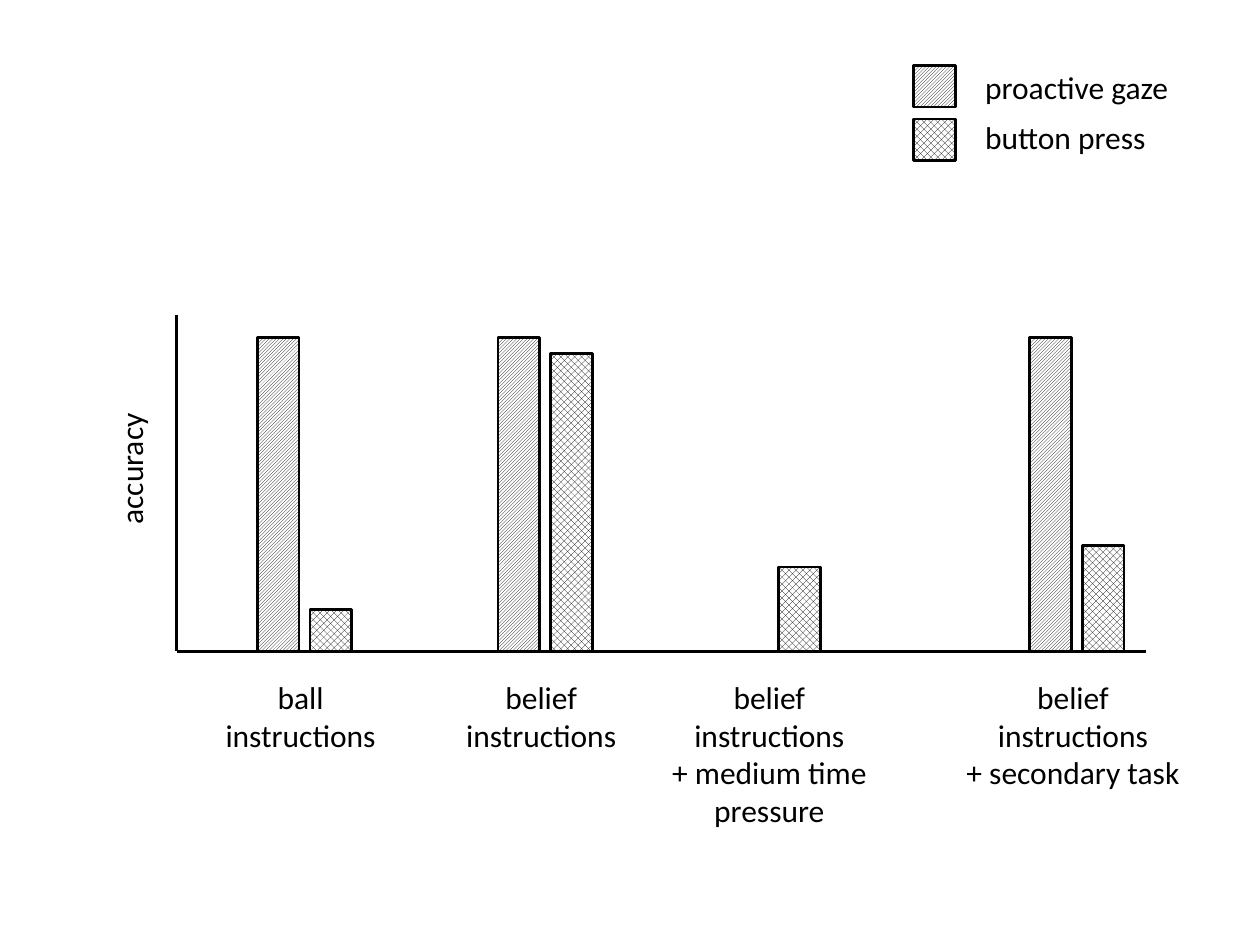
import pptx
import pptx.util
import pptx.dml.color
import pptx.enum.dml
import pptx.enum.shapes
import pptx.enum.text
import pptx.oxml
import pptx.oxml.ns

Cm = pptx.util.Cm
BLACK = pptx.dml.color.RGBColor(0, 0, 0)
WHITE = pptx.dml.color.RGBColor(255, 255, 255)
ALIGN = pptx.enum.text.PP_ALIGN
GAZE = pptx.enum.dml.MSO_PATTERN.LIGHT_UPWARD_DIAGONAL
PRESS = pptx.enum.dml.MSO_PATTERN.LARGE_CHECKER_BOARD

BAR_WIDTH = 0.84
BAR_STEP = 1.06
LABEL_CENTRE = 0.87  # from the left edge of a group of bars
LABEL_GAP = 0.41

# left of group, gaze height, press height, label, label width, label wraps
GROUPS = [
    (1.63, 6.33, 0.84, "ball\vinstructions", 3.58, False),
    (6.48, 6.33, 6.0, "belief\vinstructions", 3.58, False),
    (11.08, 0, 1.7, "belief\vinstructions\n+ medium time pressure", 5.08, True),
    (17.2, 6.33, 2.13, "belief\vinstructions\v+ secondary task", 4.85, False),
]


def add_text(s, text, left, top, width, height, align=ALIGN.LEFT, wrap=False):
    sp = s.shapes.add_textbox(Cm(left), Cm(top), Cm(width), Cm(height))
    tf = sp.text_frame
    tf.text = text
    tf.word_wrap = wrap
    tf.auto_size = pptx.enum.text.MSO_AUTO_SIZE.SHAPE_TO_FIT_TEXT
    for p in tf.paragraphs:
        p.alignment = align
        for r in p.runs:
            r.font.size = pptx.util.Pt(18)
            r.font.name = "Calibri"
            r.font.color.rgb = BLACK
    return sp


def add_bar(s, pattern, left, top, height):
    sp = s.shapes.add_shape(pptx.enum.shapes.MSO_SHAPE.RECTANGLE,
                            Cm(left), Cm(top), Cm(BAR_WIDTH), Cm(height))
    sp.shadow.inherit = False
    sp.fill.patterned()
    sp.fill.pattern = pattern
    sp.fill.fore_color.rgb = BLACK
    sp.fill.back_color.rgb = WHITE
    sp.line.color.rgb = BLACK
    sp.line.width = pptx.util.Pt(1.5)


def add_axis(s, x1, y1, x2, y2):
    line = s.shapes.add_connector(pptx.enum.shapes.MSO_CONNECTOR.STRAIGHT,
                                  Cm(x1), Cm(y1), Cm(x2), Cm(y2))
    line.line.color.rgb = BLACK
    line.line.width = pptx.util.Pt(1.5)
    props = line._element.spPr
    props.append(pptx.oxml.parse_xml(
        "<a:effectLst %s/>" % pptx.oxml.ns.nsdecls("a")))


def add_legend(s, left, top):
    entries = [(GAZE, "proactive gaze", 4.27), (PRESS, "button press", 3.81)]
    for i, (pattern, name, width) in enumerate(entries):
        add_bar(s, pattern, left, top + 0.08 + i * 1.08, BAR_WIDTH)
        add_text(s, name, left + 1.19, top + i * 1.02, width, 1.02)


def add_bar_plot(s, left, top, width, height):
    base = top + height
    add_axis(s, left, top, left, base)
    add_axis(s, left + width, base, left, base)
    title = add_text(s, "accuracy", left - 2.32, top + 2.57, 2.79, 1.02)
    title.rotation = 270

    for offset, gaze, press, label, label_width, wrap in GROUPS:
        x = left + offset
        for i, (pattern, value) in enumerate([(GAZE, gaze), (PRESS, press)]):
            if value:
                add_bar(s, pattern, x + i * BAR_STEP, base - value, value)
        lines = 4 if wrap else label.count("\v") + 1
        add_text(s, label, x + LABEL_CENTRE - label_width / 2, base + LABEL_GAP,
                 label_width, 0.25 + 0.77 * lines, ALIGN.CENTER, wrap)


def main():
    prs = pptx.Presentation()
    prs.slide_width, prs.slide_height = Cm(25.4), Cm(19.05)
    s = prs.slides.add_slide(prs.slide_layouts[6])
    add_legend(s, 18.42, 1.24)
    add_bar_plot(s, 3.56, 6.35, 19.55, 6.78)
    prs.save("out.pptx")


if __name__ == "__main__":
    main()
